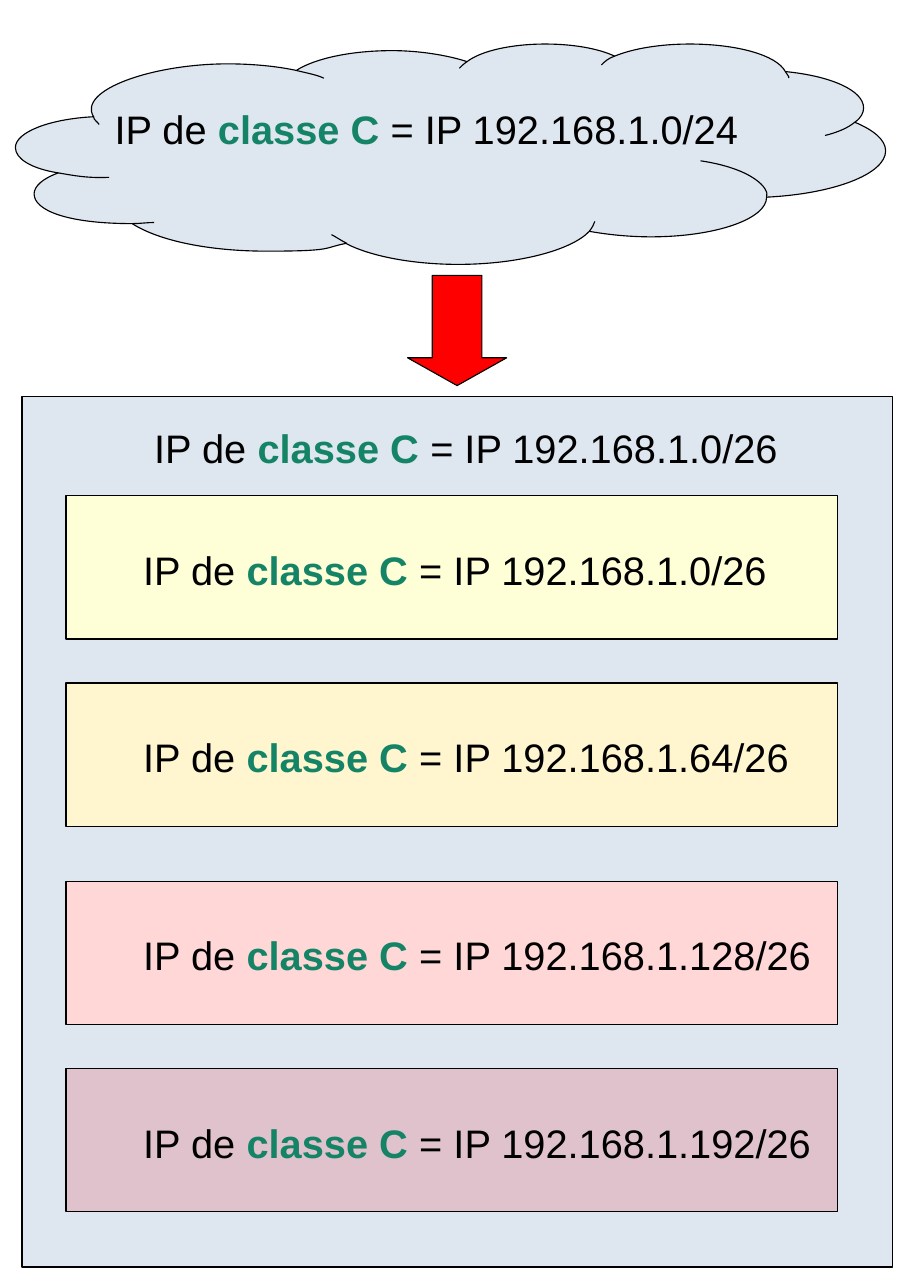
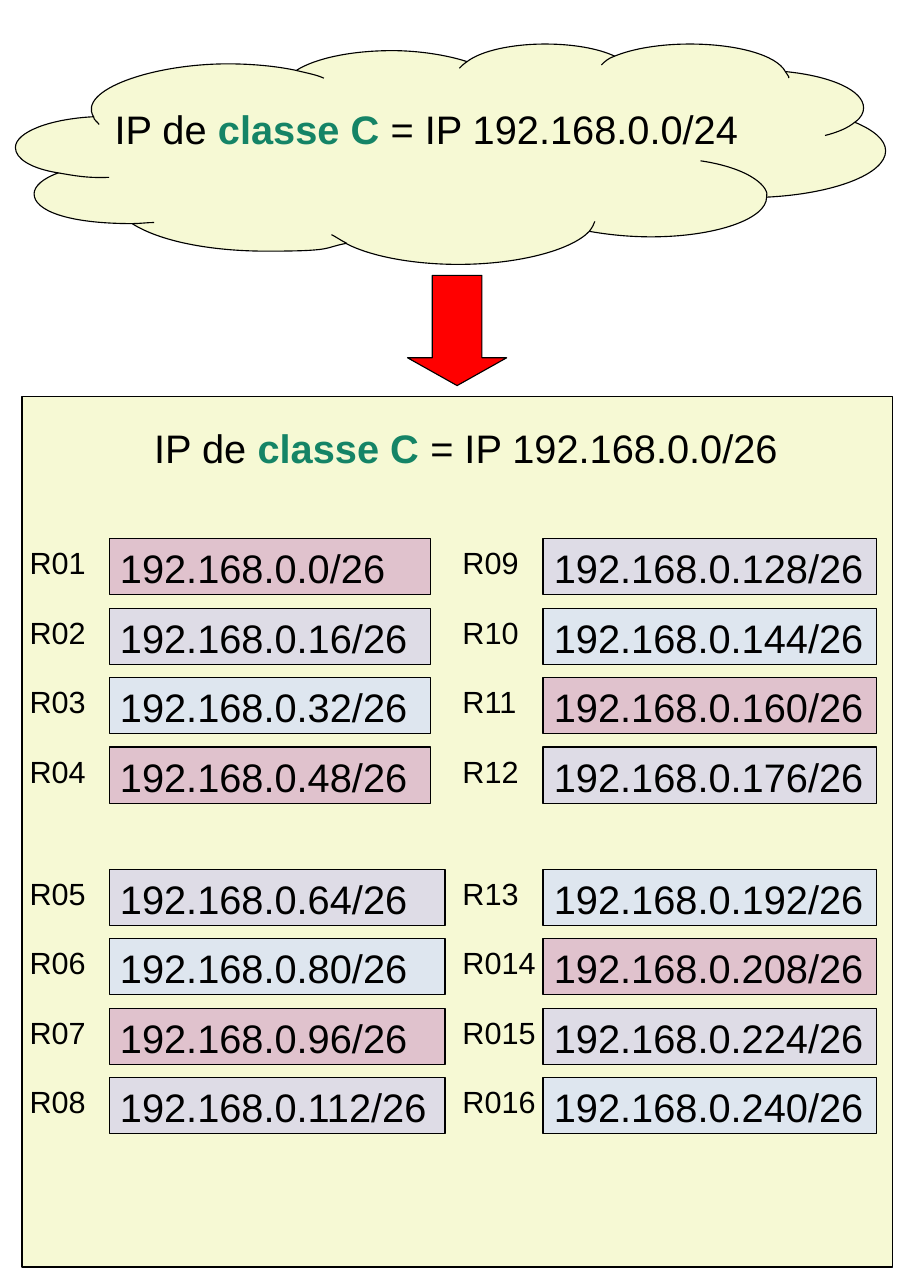
from dataclasses import dataclass
from lxml.etree import SubElement
from pptx import Presentation
from pptx.dml.color import RGBColor
from pptx.enum.shapes import MSO_SHAPE as Preset
from pptx.enum.text import MSO_ANCHOR as Anchor, PP_ALIGN as Align
from pptx.oxml.ns import qn
from pptx.util import Inches, Pt


@dataclass(frozen=True)
class Theme:
    font: str = "Arial"
    large: int = 26
    small: int = 20
    ink: str = "000000"
    accent: str = "158466"
    arrow: str = "FF0000"
    blue: str = "DEE6EF"
    lime: str = "F6F9D4"
    yellow: str = "FFFFD7"
    cream: str = "FFF5CE"
    pink: str = "FFD7D7"
    mauve: str = "E0C2CD"
    lilac: str = "DEDCE6"


THEME = Theme()

# Content: four large subnets, then sixteen labelled ranges
SUBNETS = [
    ("192.168.1.0/26", 4.5, THEME.yellow),
    ("192.168.1.64/26", 6.2, THEME.cream),
    ("192.168.1.128/26", 8.0, THEME.pink),
    ("192.168.1.192/26", 9.7, THEME.mauve),
]
RANGE_LABELS = [
    ["R01", "R02", "R03", "R04", "R05", "R06", "R07", "R08"],
    ["R09", "R10", "R11", "R12", "R13", "R014", "R015", "R016"],
]
RANGE_FILLS = [THEME.mauve, THEME.lilac, THEME.blue]
RANGE_STEP = 16

# Range grid: label left, box left, box width for each group of four rows
COLUMNS = [(0.17, 0.99, (2.92, 3.05)), (4.1, 4.93, (3.03, 3.03))]
GROUP_TOPS = (4.89, 7.89)
GROUP_ROWS = 4
ROW_PITCH = 0.63

# Cloud, in hundredths of an inch: a start, then Bezier triples
CLOUD_AT = (14, 40, 790, 200)
CLOUD_OUTLINE = [
    (85, 106),
    (70, 82, 138, 58, 207, 58), (228, 58, 251, 60, 269, 64),
    (286, 53, 319, 46, 356, 46), (380, 46, 406, 50, 424, 56),
    (437, 46, 465, 40, 495, 40), (520, 40, 543, 44, 558, 51),
    (575, 44, 600, 40, 626, 40), (669, 40, 705, 50, 713, 65),
    (754, 69, 784, 82, 784, 98), (784, 102, 782, 107, 776, 111),
    (793, 118, 804, 127, 804, 137), (804, 158, 757, 176, 696, 179),
    (696, 199, 649, 215, 591, 215), (571, 215, 552, 213, 535, 210),
    (519, 227, 471, 240, 416, 240), (376, 240, 337, 233, 314, 221),
    (293, 225, 304, 228, 242, 228), (191, 228, 145, 219, 120, 203),
    (61, 203, 31, 191, 31, 176), (31, 169, 39, 162, 53, 157),
    (28, 153, 14, 144, 14, 134), (14, 120, 45, 108, 85, 106),
]
CLOUD_FOLDS = [
    [(85, 106), (85, 109, 89, 111, 90, 113)],
    [(269, 64), (277, 66, 288, 68, 294, 71)],
    [(424, 56), (421, 58, 419, 60, 417, 62)],
    [(558, 51), (552, 53, 549, 56, 546, 59)],
    [(713, 65), (714, 67, 717, 70, 716, 71)],
    [(776, 111), (770, 116, 761, 120, 749, 123)],
    [(696, 179), (699, 171, 683, 153, 636, 146)],
    [(535, 210), (538, 206, 539, 204, 540, 201)],
    [(315, 221), (309, 218, 305, 215, 301, 213)],
    [(120, 203), (127, 203, 134, 202, 140, 202)],
    [(53, 157), (65, 159, 79, 162, 99, 161)],
]


def write(shape, spans, size=THEME.large, left=0.1, top=0.05):
    """Fill a shape with one left-aligned line of (text, colour, bold) spans."""
    frame = shape.text_frame
    layout = {
        "word_wrap": True, "vertical_anchor": Anchor.TOP,
        "margin_left": Inches(left), "margin_top": Inches(top),
        "margin_right": Inches(0.1), "margin_bottom": Inches(0.05),
    }
    for name, value in layout.items():
        setattr(frame, name, value)
    para = frame.paragraphs[0]
    para.alignment = Align.LEFT
    for text, colour, bold in spans:
        span = para.add_run()
        span.text = text
        for name, value in {"name": THEME.font, "size": Pt(size), "bold": bold}.items():
            setattr(span.font, name, value)
        span.font.color.rgb = RGBColor.from_string(colour)


def plain(text):
    return [(text, THEME.ink, False)]


def class_line(address):
    return [("IP de ", THEME.ink, False), ("classe C", THEME.accent, True),
            (f" = IP {address}", THEME.ink, False)]


def paint(shape, fill):
    shape.shadow.inherit = False
    shape.fill.solid()
    shape.fill.fore_color.rgb = RGBColor.from_string(fill)
    shape.line.color.rgb = RGBColor.from_string(THEME.ink)
    shape.line.width = Pt(0)
    return shape


def add_box(page, preset, at, fill):
    return paint(page.shapes.add_shape(preset, *map(Inches, at)), fill)


def add_curve(curves, points, closed):
    left, top, width, height = CLOUD_AT
    contour = SubElement(curves, qn("a:path"), w=str(width), h=str(height))
    if not closed:
        contour.set("fill", "none")
    for index, coords in enumerate(points):
        step = SubElement(contour, qn("a:cubicBezTo" if index else "a:moveTo"))
        for x, y in zip(coords[::2], coords[1::2]):
            SubElement(step, qn("a:pt"), x=str(x - left), y=str(y - top))
    if closed:
        SubElement(contour, qn("a:close"))


def add_cloud(page, fill):
    left, top, width, height = CLOUD_AT
    right, bottom = left + width, top + height
    builder = page.shapes.build_freeform(left, top, scale=Inches(0.01))
    builder.add_line_segments([(right, top), (right, bottom), (left, bottom)])
    cloud = paint(builder.convert_to_shape(), fill)
    # Replace the straight frame with the curved outline and its folds
    curves = cloud._element.spPr.find(f".//{qn('a:pathLst')}")
    for contour in list(curves):
        curves.remove(contour)
    add_curve(curves, CLOUD_OUTLINE, True)
    for fold in CLOUD_FOLDS:
        add_curve(curves, fold, False)
    return cloud


def add_page(deck, network, fill):
    """Cloud, arrow and panel, shared by both slides."""
    page = deck.slides.add_slide(deck.slide_layouts[6])
    panel = add_box(page, Preset.RECTANGLE, (0.2, 3.6, 7.9, 7.9), fill)
    write(panel, class_line(f"{network}/26"), left=1.2, top=0.25)
    write(add_cloud(page, fill), class_line(f"{network}/24"), left=0.9, top=0.55)
    arrow = add_box(page, Preset.DOWN_ARROW, (3.7, 2.5, 0.9, 1), THEME.arrow)
    arrow.adjustments[1] = 0.28
    return page


def add_subnets(page):
    for address, top, fill in SUBNETS:
        box = add_box(page, Preset.RECTANGLE, (0.6, top, 7, 1.3), fill)
        write(box, class_line(address), left=0.7, top=0.45)


def add_ranges(page):
    for column, labels in enumerate(RANGE_LABELS):
        label_left, box_left, widths = COLUMNS[column]
        for row, label in enumerate(labels):
            group, place = divmod(row, GROUP_ROWS)
            top = GROUP_TOPS[group] + place * ROW_PITCH
            fill = RANGE_FILLS[(row + column) % len(RANGE_FILLS)]
            host = RANGE_STEP * (column * len(labels) + row)
            box = add_box(page, Preset.RECTANGLE,
                          (box_left, top, widths[group], 0.51), fill)
            write(box, plain(f"192.168.0.{host}/26"))
            tag = page.shapes.add_textbox(*map(Inches, (label_left, top, 0.89, 0.41)))
            write(tag, plain(label), THEME.small)


def main():
    deck = Presentation()
    deck.slide_width, deck.slide_height = Inches(8.27), Inches(11.69)
    add_subnets(add_page(deck, "192.168.1.0", THEME.blue))
    add_ranges(add_page(deck, "192.168.0.0", THEME.lime))
    deck.save("out.pptx")


if __name__ == "__main__":
    main()
